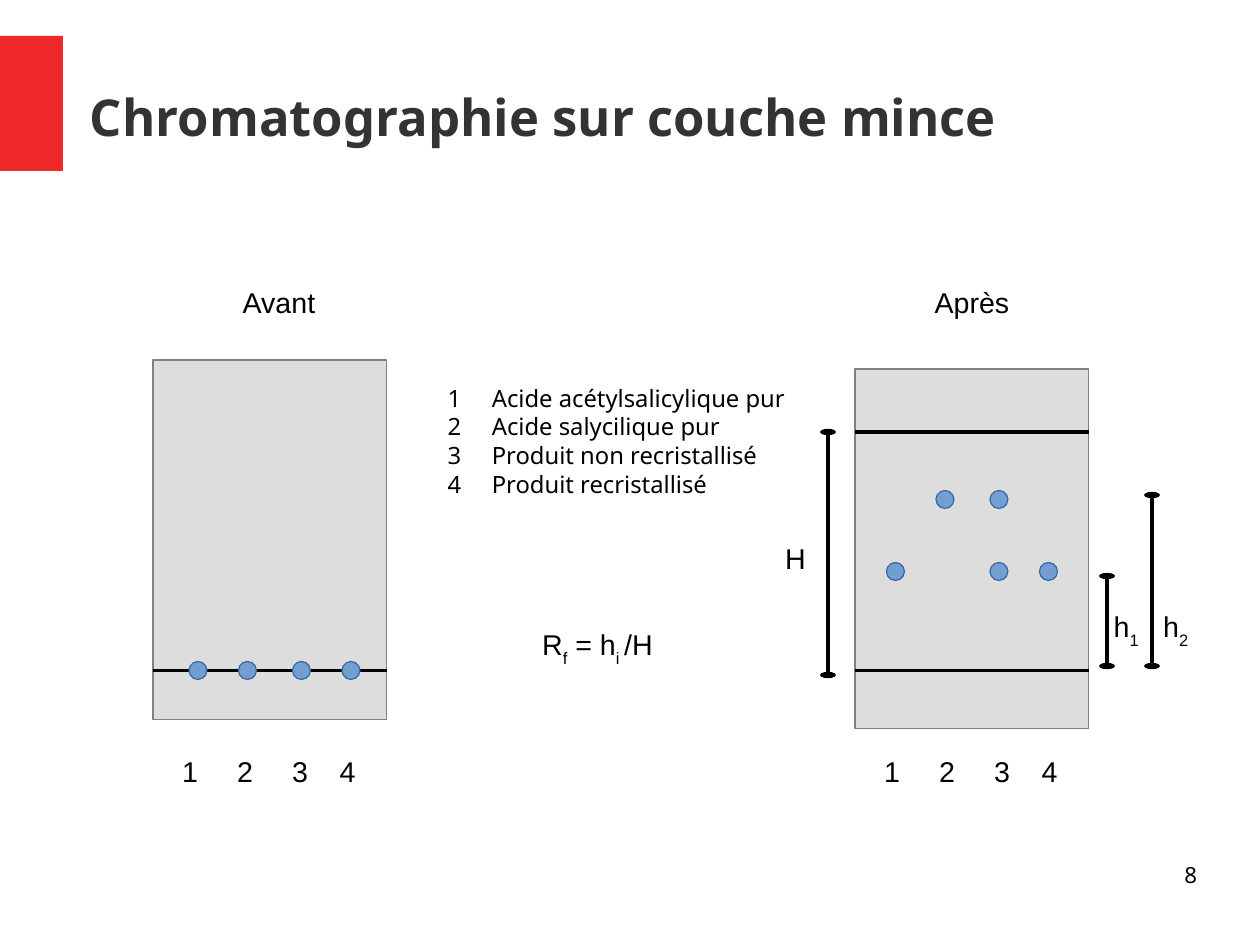
from lxml import etree
from pptx import Presentation
from pptx import util as u
from pptx.dml.color import RGBColor
from pptx.enum import shapes, text
from pptx.oxml import ns

LEFT, CENTER, RIGHT = text.PP_ALIGN.LEFT, text.PP_ALIGN.CENTER, text.PP_ALIGN.RIGHT
PLATE_WIDTH, PLATE_HEIGHT = 5.2, 8
SPOT_SIZE = 0.4
BASELINE = 14.9
FRONT = 9.6
LANE_NUMBERS = "1\t2\t3\t4"
LANE_TABS = (1.22, 2.44, 3.5)
LEGEND = (
    "Acide acétylsalicylique pur",
    "Acide salycilique pur",
    "Produit non recristallisé",
    "Produit recristallisé",
)


def color(value):
    """Turn a hex string into a colour."""
    return RGBColor.from_string(value)


def add_block(page, kind, left, top, width, height, fill, line=None):
    """Draw a filled preset shape with an optional hairline outline."""
    block = page.shapes.add_shape(kind, u.Cm(left), u.Cm(top), u.Cm(width), u.Cm(height))
    block.shadow.inherit = False
    block.fill.solid()
    block.fill.fore_color.rgb = color(fill)
    if line:
        block.line.color.rgb = color(line)
        block.line.width = u.Pt(0)
    else:
        block.line.fill.background()


def add_line(page, start, end, ovals=False):
    """Draw a black hairline, with oval ends when it marks a height."""
    line = page.shapes.add_connector(
        shapes.MSO_CONNECTOR.STRAIGHT, *(u.Cm(value) for value in start + end)
    )
    line.line.color.rgb = color("000000")
    line.line.width = u.Pt(0)
    properties = line._element.spPr
    if ovals:
        outline = properties.find(ns.qn("a:ln"))
        for tag in ("a:headEnd", "a:tailEnd"):
            etree.SubElement(outline, ns.qn(tag), type="oval", w="lg", len="sm")
    etree.SubElement(properties, ns.qn("a:effectLst"))


def add_tabs(para, stops):
    """Set left tab stops, in centimetres, on a paragraph."""
    tabs = etree.SubElement(para._p.get_or_add_pPr(), ns.qn("a:tabLst"))
    for stop in stops:
        etree.SubElement(tabs, ns.qn("a:tab"), pos=str(u.Cm(stop)), algn="l")


def add_text(page, left, top, width, height, paras, size=18, font="Arial", align=LEFT,
             tabs=(), bold=False, ink="000000", inset=True, anchor=text.MSO_ANCHOR.TOP):
    """Write paragraphs given as lists of (words, is_subscript) runs."""
    box = page.shapes.add_textbox(u.Cm(left), u.Cm(top), u.Cm(width), u.Cm(height))
    frame = box.text_frame
    frame.word_wrap = True
    frame.vertical_anchor = anchor
    if not inset:
        frame.margin_left = frame.margin_right = 0
        frame.margin_top = frame.margin_bottom = 0
    for index, runs in enumerate(paras):
        para = frame.add_paragraph() if index else frame.paragraphs[0]
        para.alignment = align
        if tabs:
            add_tabs(para, tabs)
        for words, subscript in runs:
            span = para.add_run()
            span.text = words
            span.font.name = font
            span.font.size = u.Pt(size)
            span.font.bold = bold
            span.font.color.rgb = color(ink)
            if subscript:
                span.font._element.set("baseline", "-33000")


def add_plate(page, left, top, levels, spots):
    """Draw a plate with its horizontal lines, spots and lane numbers."""
    add_block(page, shapes.MSO_SHAPE.RECTANGLE, left, top, PLATE_WIDTH, PLATE_HEIGHT,
              "DDDDDD", "808080")
    for level in levels:
        add_line(page, (left, level), (left + PLATE_WIDTH, level))
    for across, level in spots:
        add_block(page, shapes.MSO_SHAPE.OVAL, left + across - SPOT_SIZE / 2,
                  level - SPOT_SIZE / 2, SPOT_SIZE, SPOT_SIZE, "729FCF", "3465A4")
    add_text(page, left + 0.4, 16.62, 4.4, 0.97, [[(LANE_NUMBERS, False)]], tabs=LANE_TABS)


def main():
    """Build the thin-layer chromatography slide."""
    deck = Presentation()
    deck.slide_width, deck.slide_height = u.Cm(28), u.Cm(21)
    page = deck.slides.add_slide(deck.slide_layouts[6])

    add_block(page, shapes.MSO_SHAPE.RECTANGLE, 0, 0.8, 1.4, 3, "EF2929")
    add_text(page, 2, 0.84, 24.6, 3.5, [[("Chromatographie sur couche mince", False)]],
             size=32, font="Noto Sans", bold=True, ink="333333", inset=False,
             anchor=text.MSO_ANCHOR.MIDDLE)

    add_text(page, 3.5, 6.2, 5.4, 0.97, [[("Avant", False)]], align=CENTER)
    add_plate(page, 3.4, 8, [BASELINE], [(across, BASELINE) for across in (1, 2.1, 3.3, 4.4)])

    add_text(page, 19.6, 6.2, 4, 0.97, [[("Après", False)]], align=CENTER)
    low, high = 12.7, 11.1
    add_plate(page, 19, 8.2, [FRONT, BASELINE],
              [(0.9, low), (2, high), (3.2, low), (3.2, high), (4.3, low)])

    legend = [[(f"{number}\t{name}", False)] for number, name in enumerate(LEGEND, 1)]
    add_text(page, 9.7, 8.4, 10.2, 4.57, legend, size=15, font="Noto Sans", tabs=[0.98])
    formula = [("R", False), ("f", True), (" = h", False), ("i ", True), ("/H", False)]
    add_text(page, 11.8, 13.8, 3.2, 1.12, [formula])

    for across, top, bottom in ((18.4, FRONT, 15), (24.6, 12.8, 14.8), (25.6, 11, 14.8)):
        add_line(page, (across, top), (across, bottom), ovals=True)
    add_text(page, 17.2, 11.9, 1, 0.97, [[("H", False)]])
    for left, index in ((24.5, "1"), (25.6, "2")):
        add_text(page, left, 13.4, 1.4, 1.12, [[("h", False), (index, True)]])

    add_text(page, 20.07, 19.13, 6.53, 1.45, [[("8", False)]], size=14, font="Noto Sans",
             align=RIGHT, inset=False)
    deck.save("out.pptx")


if __name__ == "__main__":
    main()
